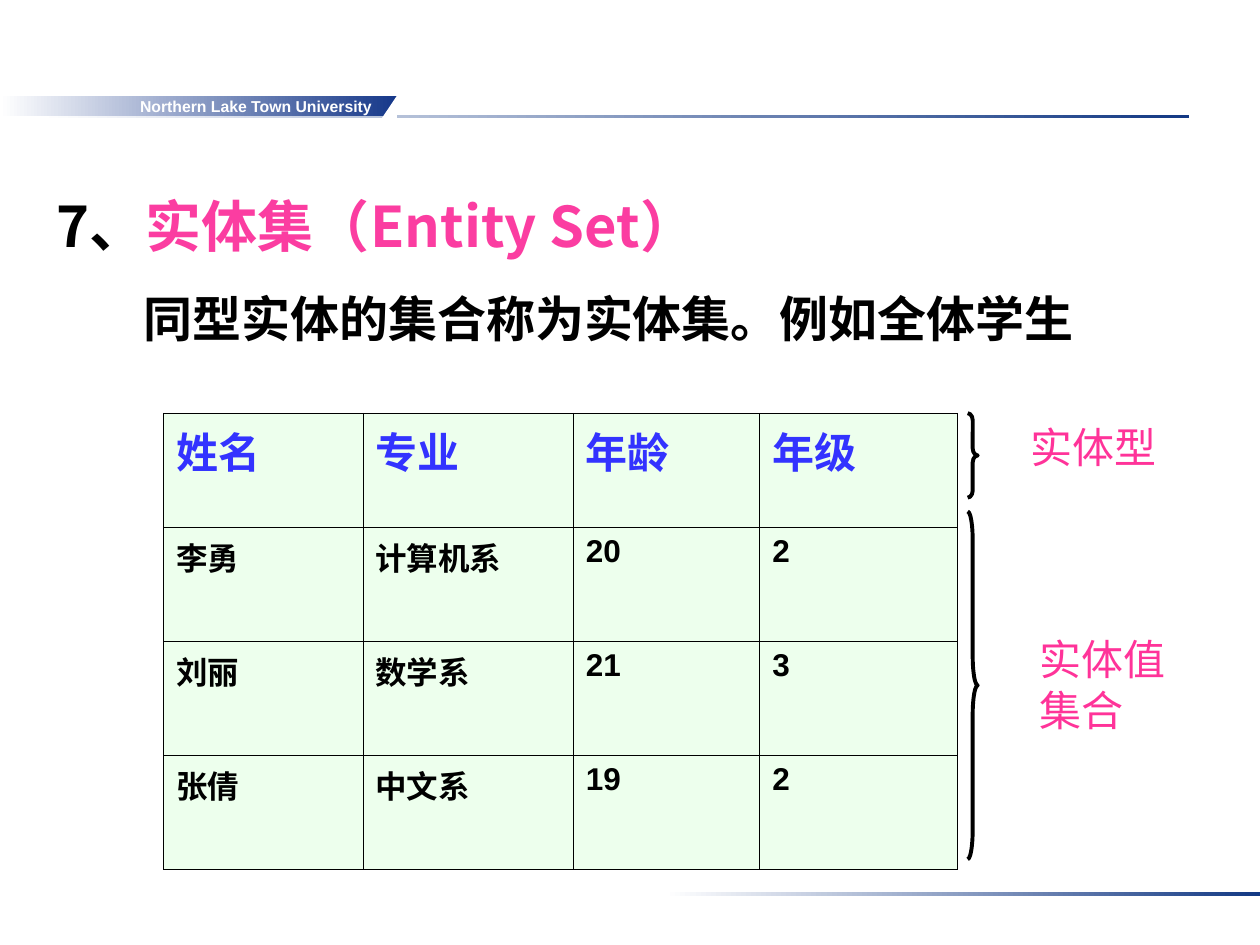
from dataclasses import dataclass

from lxml import etree
from pptx import Presentation
from pptx.dml.color import RGBColor
from pptx.enum.shapes import MSO_SHAPE
from pptx.enum.text import MSO_ANCHOR, MSO_AUTO_SIZE, PP_ALIGN
from pptx.oxml.ns import qn
from pptx.util import Inches, Pt

RECT = MSO_SHAPE.RECTANGLE
CORNER = MSO_SHAPE.RIGHT_TRIANGLE
BRACE = MSO_SHAPE.RIGHT_BRACE
MIDDLE = MSO_ANCHOR.MIDDLE
RIGHT = PP_ALIGN.RIGHT
JUSTIFY = PP_ALIGN.JUSTIFY
NO_FIT = MSO_AUTO_SIZE.NONE


@dataclass(frozen=True)
class Theme:
    white: str = "FFFFFF"
    black: str = "000000"
    navy: str = "133984"
    banner: str = "16388A"
    rose: str = "FB3DA1"
    pink: str = "FF3399"
    blue: str = "3333FF"
    mint: str = "EDFFED"
    latin: str = "Arial"
    cjk: str = "Noto Sans CJK SC"
    label: str = "Cabin"
    head: int = 32
    text: int = 28
    mid: int = 24
    cell: int = 18
    tiny: int = 9


theme = Theme()


def add_run(para, text, size, color, bold=False, font=theme.latin):
    run = para.add_run()
    run.text = text
    run.font.size = Pt(size)
    run.font.bold = bold
    run.font.name = font
    run.font.color.rgb = RGBColor.from_string(color)
    east = etree.SubElement(run.font._element, qn("a:ea"))
    east.set("typeface", theme.cjk)


def add_shape(kind, left, top, width, height, color=None, fade=False):
    shape = slide.shapes.add_shape(
        kind, Inches(left), Inches(top), Inches(width), Inches(height))
    shape.shadow.inherit = False
    shape.line.fill.background()
    if fade:
        shape.fill.gradient()
        shape.fill.gradient_angle = 0
        for stop, tone in zip(shape.fill.gradient_stops, (theme.white, color)):
            stop.color.rgb = RGBColor.from_string(tone)
    elif color:
        shape.fill.solid()
        shape.fill.fore_color.rgb = RGBColor.from_string(color)
    else:
        shape.fill.background()
    return shape


deck = Presentation()
deck.slide_width, deck.slide_height = Inches(10), Inches(7.5)
slide = deck.slides.add_slide(deck.slide_layouts[1])
title = slide.shapes.title
title._element.getparent().remove(title._element)

# Header and footer rules
add_shape(RECT, 0.31, 0.91, 9.13, 0.03, theme.navy, fade=True)
add_shape(RECT, 5.28, 7.08, 4.72, 0.03, theme.navy, fade=True)

# Banner with its cut corner
banner = add_shape(RECT, 0, 0.76, 3.15, 0.16, theme.banner, fade=True)
frame = banner.text_frame
frame.word_wrap = False
frame.vertical_anchor = MIDDLE
frame.margin_right = Inches(0.2)
frame.paragraphs[0].alignment = RIGHT
add_run(frame.paragraphs[0], "Northern Lake Town University",
        theme.tiny, theme.white, True)
corner = add_shape(CORNER, 3.03, 0.76, 0.12, 0.18, theme.white)
corner._element.spPr.find(qn("a:xfrm")).set("flipH", "1")

# Definition
body = slide.placeholders[1]
body.left, body.top = Inches(0.35), Inches(1.31)
body.width, body.height = Inches(9.33), Inches(1.75)
frame = body.text_frame
frame.auto_size = NO_FIT
lines = [
    (0, 0.49, -0.49, 8, theme.head, theme.cjk,
     [("7、", theme.black), ("实体集（Entity Set）", theme.rose)]),
    (1, 1, -0.31, 7, theme.text, theme.latin,
     [("同型实体的集合称为实体集。例如全体学生", theme.black)]),
]
for level, margin, indent, gap, size, font, runs in lines:
    para = frame.add_paragraph() if level else frame.paragraphs[0]
    para.level = level
    para.alignment = JUSTIFY
    para.line_spacing = 1.3
    para.space_before = Pt(gap)
    props = para._p.get_or_add_pPr()
    props.set("marL", str(Inches(margin)))
    props.set("indent", str(Inches(indent)))
    etree.SubElement(props, qn("a:buNone"))
    for text, color in runs:
        add_run(para, text, size, color, True, font)

# Braces
for top, height in [(3.28, 0.67), (4.06, 2.76)]:
    width = 0.08
    brace = add_shape(BRACE, 7.68, top, width, height)
    brace.adjustments[0] = height / 12 / width
    brace.line.color.rgb = RGBColor.from_string(theme.black)
    brace.line.width = Pt(2.25)

# Brace labels
labels = [
    ("实体型", 8.08, 3.3, 1.2, 0.5, False, 0, theme.latin),
    ("实体值集合", 8.15, 4.98, 1.33, 0.9, True, 15, theme.label),
]
for text, left, top, width, height, wrap, gap, font in labels:
    box = slide.shapes.add_textbox(
        Inches(left), Inches(top), Inches(width), Inches(height))
    box.text_frame.word_wrap = wrap
    para = box.text_frame.paragraphs[0]
    para.space_before = Pt(gap)
    add_run(para, text, theme.mid, theme.pink, font=font)

# Student table
rows = [
    ("姓名", "专业", "年龄", "年级"),
    ("李勇", "计算机系", "20", "2"),
    ("刘丽", "数学系", "21", "3"),
    ("张倩", "中文系", "19", "2"),
]
table = slide.shapes.add_table(
    len(rows), len(rows[0]),
    Inches(1.3), Inches(3.28), Inches(6.3), Inches(3.62)).table
table.first_row = table.horz_banding = False
for column, width in zip(table.columns, (1.58, 1.67, 1.48, 1.57)):
    column.width = Inches(width)
for r, row in enumerate(rows):
    gap, size, color = ((4.5, theme.cell, theme.black) if r
                        else (6, theme.mid, theme.blue))
    for c, text in enumerate(row):
        cell = table.cell(r, c)
        cell.fill.solid()
        cell.fill.fore_color.rgb = RGBColor.from_string(theme.mint)
        para = cell.text_frame.paragraphs[0]
        para.space_before = Pt(gap)
        add_run(para, text, size, color, True)
        props = cell._tc.get_or_add_tcPr()
        for spot, side in enumerate(("lnL", "lnR", "lnT", "lnB")):
            edge = etree.Element(qn("a:" + side), w=str(Pt(0.45)))
            paint = etree.SubElement(edge, qn("a:solidFill"))
            etree.SubElement(paint, qn("a:srgbClr"), val=theme.black)
            props.insert(spot, edge)

deck.save("out.pptx")
